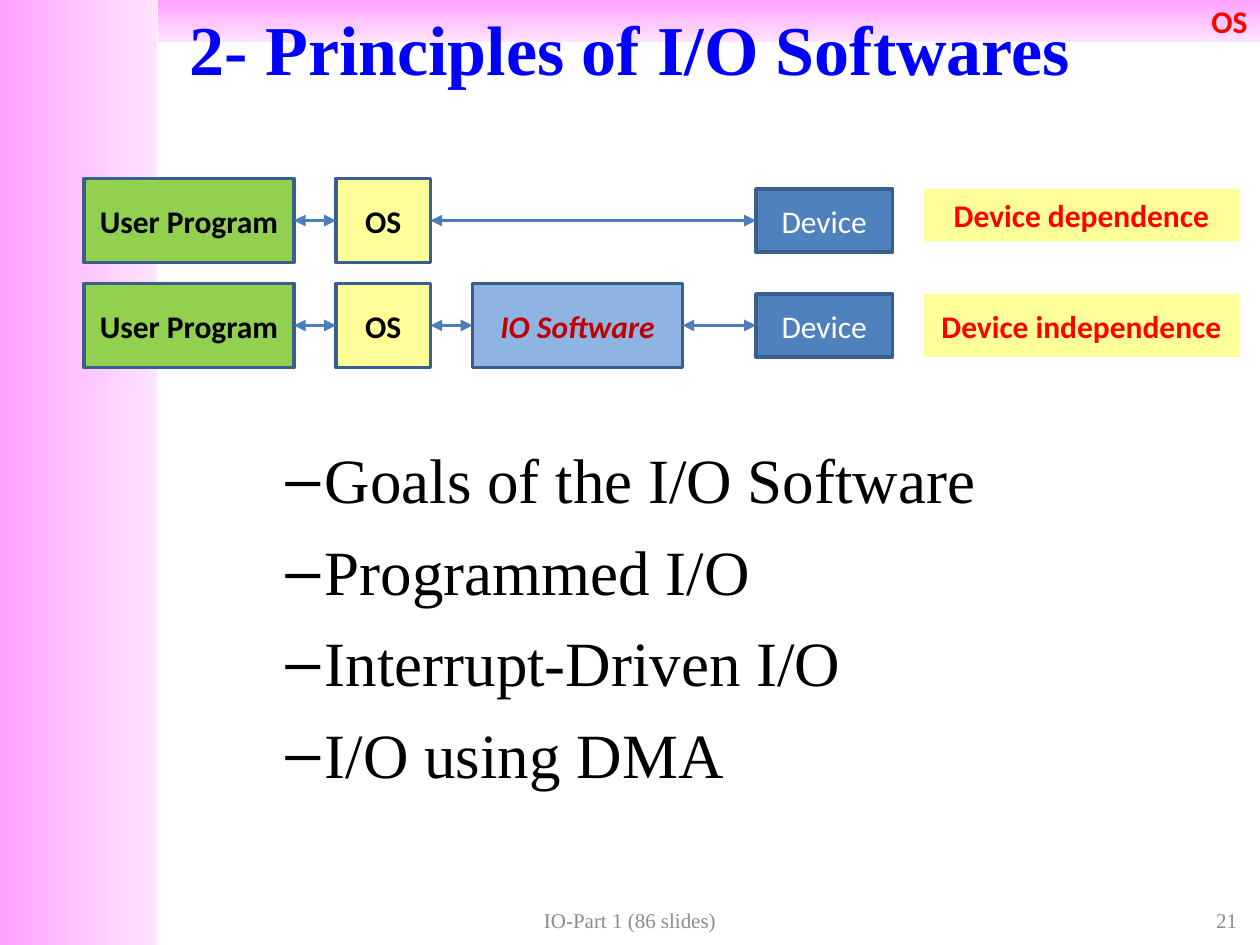
from copy import deepcopy
from itertools import pairwise
from lxml import etree
from pptx import Presentation
from pptx.dml.color import RGBColor
from pptx.enum import shapes, text
from pptx.oxml import ns
from pptx.util import Pt

SERIF, SANS = "Times New Roman", "Calibri"
MID, LEFT, RIGHT = text.PP_ALIGN.CENTER, text.PP_ALIGN.LEFT, text.PP_ALIGN.RIGHT
EDGE, WIRE = "3A5F8C", "4B7EBC"
FADE = ["FFA0FF", "FFC5FF", "FFE3FF"]
BANDS = [((0, 0, 90, 540), 0, ""), ((90, 0, 630, 24), 270, "OS")]
LABELS = [
    ("2- Principles of I/O Softwares", (36, 0, 648, 54), 40, "0000FF", True, MID),
    ("IO-Part 1 (86 slides)", (246, 516, 228, 19.5), 12, "8C8C8C", False, MID),
    ("21", (546, 516, 168, 19.5), 12, "8C8C8C", False, RIGHT),
]
GOALS = ["Goals of the I/O Software", "Programmed I/O",
         "Interrupt-Driven I/O", "I/O using DMA"]
KINDS = {
    "User Program": (48, 120, 48, "92D050", "000000", True, False),
    "OS": (192, 54, 48, "FFFF99", "000000", True, False),
    "IO Software": (270, 120, 48, "8EB4E3", "C00000", True, True),
    "Device": (432, 78, 36, "4F81BD", "FFFFFF", False, False),
}
ROWS = [
    (126, ["User Program", "OS", "Device"], "Device dependence", 30),
    (186, ["User Program", "OS", "IO Software", "Device"], "Device independence", 36),
]


def rgb(code):
    return RGBColor.from_string(code)


def style(para, size, face, color, bold=False, slant=False, align=MID):
    para.alignment = align
    font = para.font
    font.size, font.name, font.bold, font.italic = Pt(size), face, bold, slant
    font.color.rgb = rgb(color)


def label(shape, words, *look, **more):
    frame = shape.text_frame
    frame.word_wrap = True
    frame.vertical_anchor = text.MSO_ANCHOR.MIDDLE
    frame.text = words
    style(frame.paragraphs[0], *look, **more)


def block(slide, spot, fill=None, edge=None):
    shape = slide.shapes.add_shape(shapes.MSO_SHAPE.RECTANGLE, *map(Pt, spot))
    shape.shadow.inherit = False
    if fill:
        shape.fill.solid()
        shape.fill.fore_color.rgb = rgb(fill)
    if edge:
        shape.line.color.rgb = rgb(edge)
        shape.line.width = Pt(2)
    else:
        shape.line.fill.background()
    return shape


def band(slide, spot, angle, words):
    shape = block(slide, spot)
    shape.fill.gradient()
    shape.fill.gradient_angle = angle
    stops = shape._element.spPr.find(".//" + ns.qn("a:gsLst"))
    stops.insert(1, deepcopy(stops[0]))
    for stop, code, place in zip(shape.fill.gradient_stops, FADE, (0, 0.5, 1)):
        stop.color.rgb = rgb(code)
        stop.position = place
    if words:
        label(shape, words, 18, SANS, "FF0000", True, align=RIGHT)


def arrow(slide, start, end, y):
    wire = slide.shapes.add_connector(
        shapes.MSO_CONNECTOR.STRAIGHT, Pt(start), Pt(y), Pt(end), Pt(y))
    wire.line.color.rgb = rgb(WIRE)
    wire.line.width = Pt(2.25)
    line = wire.line._get_or_add_ln()
    for tag in ("a:headEnd", "a:tailEnd"):
        etree.SubElement(line, ns.qn(tag), type="triangle")
    etree.SubElement(wire._element.spPr, ns.qn("a:effectLst"))


def chain(slide, y, names, note, tall):
    for name in names:
        x, wide, high, fill, color, bold, slant = KINDS[name]
        box = block(slide, (x, y - high / 2, wide, high), fill, EDGE)
        label(box, name, 18, SANS, color, bold, slant)
    for one, two in pairwise(names):
        arrow(slide, KINDS[one][0] + KINDS[one][1], KINDS[two][0], y)
    tag = block(slide, (528, y - 18, 180, tall), "FFFF99")
    label(tag, note, 18, SANS, "FF0000", True)


def bullets(slide):
    frame = slide.shapes.add_textbox(*map(Pt, (120, 246, 486, 222))).text_frame
    frame.word_wrap = True
    frame.margin_top = Pt(6)
    frame.text = "\n".join(GOALS)
    for row, para in enumerate(frame.paragraphs):
        props = para._p.get_or_add_pPr()
        props.set("marL", str(Pt(58.5)))
        props.set("indent", str(-Pt(22.5)))
        etree.SubElement(props, ns.qn("a:buFont"), typeface="Arial")
        etree.SubElement(props, ns.qn("a:buChar"), char="–")
        style(para, 36, SERIF, "000000", align=LEFT)
        if row:
            para.space_before = Pt(9)


def main():
    deck = Presentation()
    deck.slide_width, deck.slide_height = Pt(720), Pt(540)
    slide = deck.slides.add_slide(deck.slide_layouts[6])
    for item in BANDS:
        band(slide, *item)
    for words, spot, size, color, bold, align in LABELS:
        box = slide.shapes.add_textbox(*map(Pt, spot))
        label(box, words, size, SERIF, color, bold, align=align)
    bullets(slide)
    for row in ROWS:
        chain(slide, *row)
    deck.save("out.pptx")


if __name__ == "__main__":
    main()
